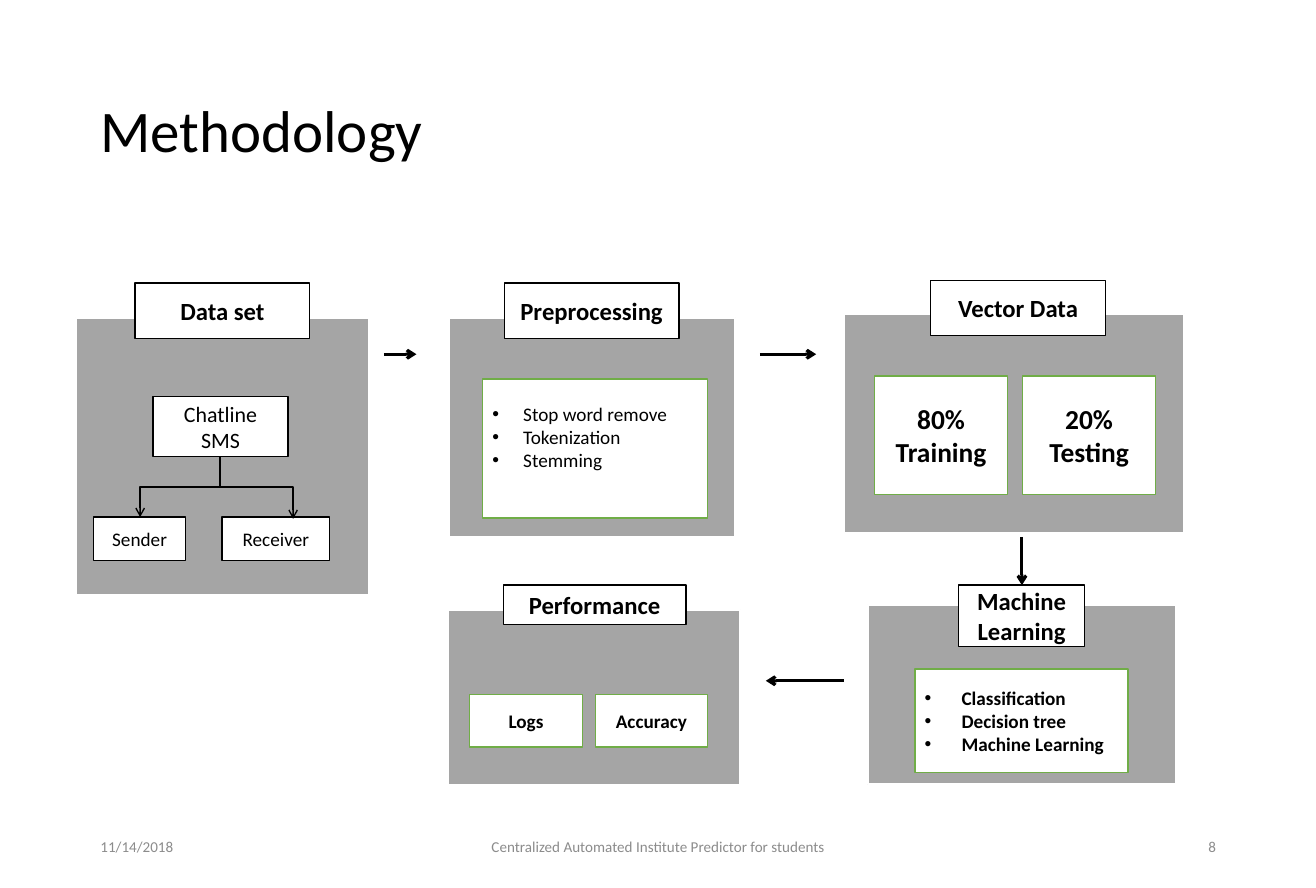
from dataclasses import dataclass

import pptx
import pptx.dml.color
import pptx.enum.shapes
import pptx.enum.text
import pptx.oxml.ns
import pptx.util
from lxml import etree

Pt = pptx.util.Pt
ALIGN = pptx.enum.text.PP_ALIGN
LINK = pptx.enum.shapes.MSO_CONNECTOR
qn = pptx.oxml.ns.qn

BLACK, WHITE, GREY, GREEN, MUTED = "000000", "FFFFFF", "A5A5A5", "70AD47", "8C8C8C"
FONT = "Calibri"


@dataclass
class Box:
    """A rectangle with optional text; indent > 0 makes a bulleted list."""
    left: float
    top: float
    width: float
    height: float
    text: str = ""
    size: float = 14
    bold: bool = True
    line: str = GREEN
    indent: float = 0
    bottom_inset: float = 3.6


@dataclass
class Stage:
    panel: Box
    heading: Box
    cards: list[Box]


@dataclass
class Caption:
    left: float
    top: float
    width: float
    height: float
    text: str
    size: float = 11
    color: str = MUTED
    align: ALIGN = ALIGN.LEFT
    spacing: float = 1.0


def rgb(color: str) -> pptx.dml.color.RGBColor:
    return pptx.dml.color.RGBColor.from_string(color)


def write(frame, text: str, size: float, color: str, bold: bool, align: ALIGN) -> None:
    frame.word_wrap = True
    frame.vertical_anchor = pptx.enum.text.MSO_ANCHOR.MIDDLE
    frame.text = text
    for paragraph in frame.paragraphs:
        paragraph.alignment = align
        for run in paragraph.runs:
            run.font.name, run.font.size, run.font.bold = FONT, Pt(size), bold
            run.font.color.rgb = rgb(color)


def add_bullets(frame, indent: float) -> None:
    for paragraph in frame.paragraphs:
        properties = paragraph._p.get_or_add_pPr()
        properties.set("marL", str(Pt(indent)))
        properties.set("indent", str(-Pt(indent)))
        etree.SubElement(properties, qn("a:buFont")).set("typeface", "Arial")
        etree.SubElement(properties, qn("a:buChar")).set("char", "•")


def draw_box(slide, box: Box, fill: str = WHITE, line_width: float = 1) -> None:
    shape = slide.shapes.add_shape(
        pptx.enum.shapes.MSO_SHAPE.RECTANGLE,
        Pt(box.left), Pt(box.top), Pt(box.width), Pt(box.height))
    shape.shadow.inherit = False
    shape.fill.solid()
    shape.fill.fore_color.rgb = rgb(fill)
    shape.line.color.rgb = rgb(box.line)
    shape.line.width = Pt(line_width)
    if box.text:
        frame = shape.text_frame
        write(frame, box.text, box.size, BLACK, box.bold,
              ALIGN.LEFT if box.indent else ALIGN.CENTER)
        frame.margin_bottom = Pt(box.bottom_inset)
        if box.indent:
            add_bullets(frame, box.indent)


def draw_stage(slide, stage: Stage) -> None:
    draw_box(slide, stage.panel, GREY, 1.5)
    for box in [stage.heading, *stage.cards]:
        draw_box(slide, box)


def draw_caption(slide, caption: Caption) -> None:
    label = slide.shapes.add_textbox(
        Pt(caption.left), Pt(caption.top), Pt(caption.width), Pt(caption.height))
    write(label.text_frame, caption.text, caption.size, caption.color, False, caption.align)
    label.text_frame.paragraphs[0].line_spacing = caption.spacing


def draw_arrow(slide, x1: float, y1: float, x2: float, y2: float,
               kind: LINK = LINK.STRAIGHT, width: float = 2.25):
    arrow = slide.shapes.add_connector(kind, Pt(x1), Pt(y1), Pt(x2), Pt(y2))
    arrow.line.color.rgb = rgb(BLACK)
    arrow.line.width = Pt(width)
    etree.SubElement(arrow.line._get_or_add_ln(), qn("a:tailEnd")).set("type", "arrow")
    etree.SubElement(arrow._element.spPr, qn("a:effectLst"))
    return arrow


def draw_down_left_elbow(slide, x1: float, y1: float, x2: float, y2: float) -> None:
    """Down, left, down: an elbow turned a quarter about its centre."""
    center_x, center_y = (x1 + x2) / 2, (y1 + y2) / 2
    half_run, half_rise = (y2 - y1) / 2, (x1 - x2) / 2
    elbow = draw_arrow(slide, center_x - half_run, center_y - half_rise,
                       center_x + half_run, center_y + half_rise, LINK.ELBOW, 1)
    elbow._element.spPr.find(qn("a:xfrm")).set("rot", "5400000")


def draw_right_down_elbow(slide, x1: float, y1: float, x2: float, y2: float) -> None:
    elbow = draw_arrow(slide, x1, y1, x2, y2, LINK.ELBOW, 1)
    elbow._element.spPr.find(qn("a:prstGeom")).set("prst", "bentConnector2")


def heading(left: float, top: float, text: str,
            width: float = 127.4, height: float = 40.3) -> Box:
    return Box(left, top, width, height, text, 18, line=BLACK)


def panel(left: float, top: float, width: float, height: float) -> Box:
    return Box(left, top, width, height, line=WHITE)


def source_card(left: float, top: float, width: float, height: float,
                text: str, size: float = 14) -> Box:
    return Box(left, top, width, height, text, size, bold=False, line=BLACK)


def card_pair(left: float, top: float, width: float, height: float, step: float,
              texts: tuple[str, str], size: float) -> list[Box]:
    return [Box(left + i * step, top, width, height, text, size)
            for i, text in enumerate(texts)]


STAGES = [
    Stage(panel(55.4, 231.8, 213.8, 202.3), heading(98.6, 206.6, "Data set"), [
        source_card(111.6, 289.4, 98.6, 43.9, "Chatline SMS", 16),
        source_card(68.4, 377.3, 67, 31.7, "Sender"),
        source_card(162, 377.3, 78.5, 31.7, "Receiver")]),
    Stage(panel(327.6, 231.8, 208.8, 159.8), heading(367.9, 206.6, "Preprocessing"), [
        Box(352.1, 276.5, 164.2, 101.5, "Stop word remove\nTokenization\nStemming",
            bold=False, indent=22.5, bottom_inset=20.6)]),
    Stage(panel(615.6, 229, 248.4, 159.8), heading(679, 204.5, "Vector Data"),
          card_pair(637.9, 274.3, 97.2, 86.4, 108, ("80%\nTraining", "20%\nTesting"), 20)),
    Stage(panel(632.9, 441.4, 225.4, 131),
          heading(699.1, 427, "Machine Learning", 92.2, 44.6), [
        Box(667.4, 488.2, 155.5, 75.6, "Classification\nDecision tree\nMachine Learning",
            indent=27)]),
    Stage(panel(326.9, 445, 213.1, 128.2), heading(367.2, 427, "Performance", 133.2, 28.8),
          card_pair(342.7, 506.9, 82.1, 38.2, 91.5, ("Logs", "Accuracy"), 14)),
]

CAPTIONS = [
    Caption(66.2, 34.6, 828, 125.3, "Methodology", 43, BLACK, spacing=0.9),
    Caption(66.2, 600.5, 216, 34.6, "11/14/2018"),
    Caption(318.2, 600.5, 324, 34.6, "Centralized Automated Institute Predictor for students",
            align=ALIGN.CENTER),
    Caption(678.2, 600.5, 216, 34.6, "8", align=ALIGN.RIGHT),
]

FLOW = [
    (280.1, 258.5, 303.8, 258.5),
    (554.4, 258.5, 595.4, 258.5),
    (745.5, 391.7, 745.5, 427),
    (615.6, 496.8, 558.7, 496.8),
]


def main() -> None:
    deck = pptx.Presentation()
    deck.slide_width, deck.slide_height = Pt(960), Pt(648)
    slide = deck.slides.add_slide(deck.slide_layouts[6])

    # Title and footer
    for caption in CAPTIONS:
        draw_caption(slide, caption)

    # Stages of the pipeline
    for stage in STAGES:
        draw_stage(slide, stage)

    # Message source splits into sender and receiver
    draw_down_left_elbow(slide, 160.6, 333.4, 102.2, 377.3)
    draw_right_down_elbow(slide, 160.6, 355.3, 213.8, 378.7)

    # Flow between stages
    for ends in FLOW:
        draw_arrow(slide, *ends)

    deck.save("out.pptx")


if __name__ == "__main__":
    main()
